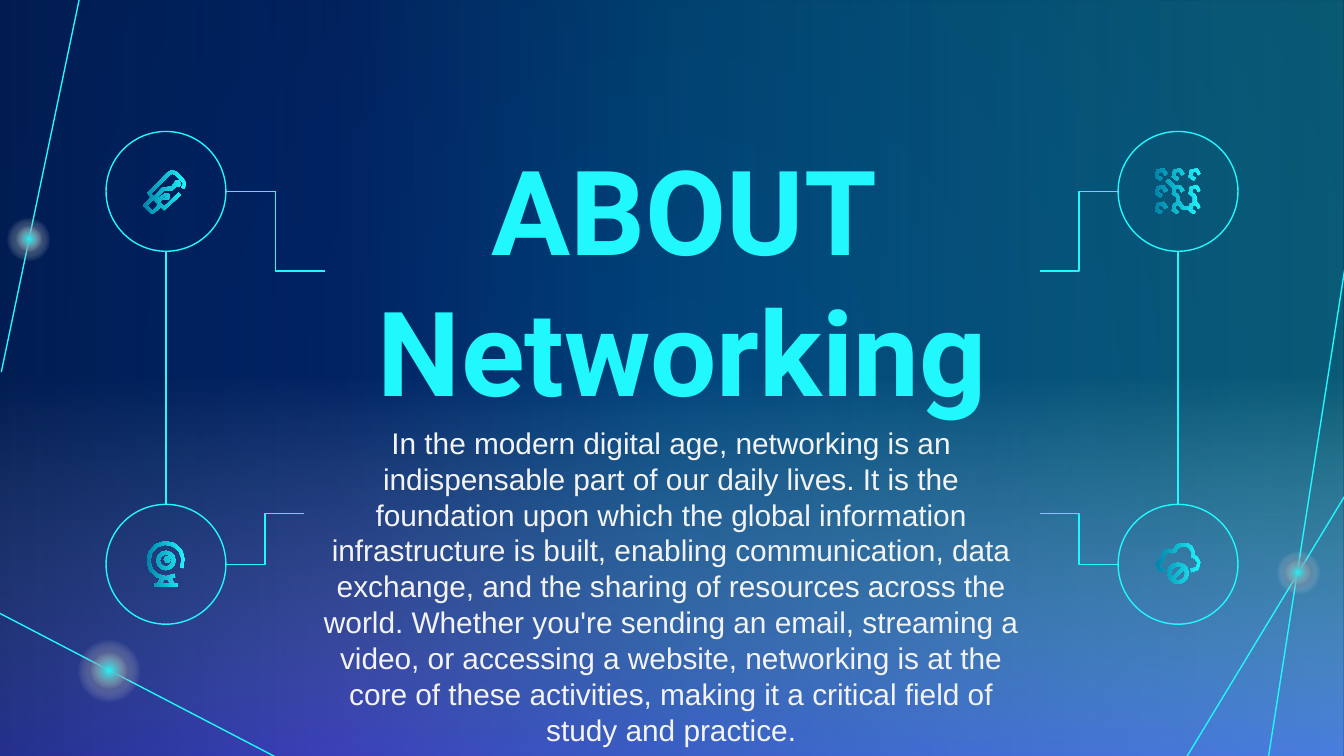
from math import cos, hypot, radians, sin

from lxml.etree import SubElement
from pptx import Presentation
from pptx.dml.color import RGBColor
from pptx.enum.shapes import MSO_CONNECTOR, MSO_SHAPE
from pptx.enum.text import MSO_ANCHOR, MSO_AUTO_SIZE, PP_ALIGN
from pptx.oxml.ns import qn
from pptx.util import Pt

W, H = 720, 405
CYAN, TEAL, NAVY, PALE = "20F8FD", "0182AA", "00183A", "F3F3F3"
BODY = (
    "In the modern digital age, networking is an indispensable part of our daily lives. "
    "It is the foundation upon which the global information infrastructure is built, "
    "enabling communication, data exchange, and the sharing of resources across the world. "
    "Whether you're sending an email, streaming a video, or accessing a website, networking "
    "is at the core of these activities, making it a critical field of study and practice."
)


def rgb(value):
    return RGBColor.from_string(value)


def set_gradient(props, stops, angle=None):
    """Swap noFill for a gradient of (position, colour, opacity); radial without angle."""
    none = props.find(qn("a:noFill"))
    grad = props.makeelement(qn("a:gradFill"), {"rotWithShape": "1"})
    none.getparent().replace(none, grad)
    stop_list = SubElement(grad, qn("a:gsLst"))
    for position, colour, opacity in stops:
        stop = SubElement(stop_list, qn("a:gs"), pos=str(position * 1000))
        clr = SubElement(stop, qn("a:srgbClr"), val=colour)
        if opacity < 100:
            SubElement(clr, qn("a:alpha"), val=str(opacity * 1000))
    if angle is None:
        path = SubElement(grad, qn("a:path"), path="circle")
        SubElement(path, qn("a:fillToRect"), l="50000", t="50000", r="50000", b="50000")
    else:
        SubElement(grad, qn("a:lin"), ang=str(angle * 60000), scaled="0")


def add_plain(s, kind, x, y, w, h):
    sp = s.shapes.add_shape(kind, Pt(x), Pt(y), Pt(w), Pt(h))
    sp.shadow.inherit = False
    sp.fill.background()
    sp.line.fill.background()
    return sp


def add_line(s, x1, y1, x2, y2, kind=MSO_CONNECTOR.STRAIGHT):
    line = s.shapes.add_connector(kind, Pt(x1), Pt(y1), Pt(x2), Pt(y2))
    line.line.color.rgb = rgb(CYAN)
    line.line.width = Pt(0.75)
    SubElement(line.element.spPr, qn("a:effectLst"))


def add_glow(s, cx, cy, size):
    for diameter, core in ((size, NAVY), (size * 0.59, CYAN)):
        sp = add_plain(s, MSO_SHAPE.OVAL, cx - diameter / 2, cy - diameter / 2, diameter, diameter)
        set_gradient(sp.element.spPr, [(0, core, 100), (50, PALE, 0), (100, PALE, 0)])


def add_backdrop(s, x, y, w, h):
    s.background.fill.background()
    set_gradient(s.element.xpath(".//p:bgPr")[0], [(0, "012060", 100), (100, NAVY, 100)])
    veils = (
        ([(0, "748BFF", 0), (50, PALE, 0), (100, "7659FF", 77)], 90),
        ([(0, CYAN, 29), (50, TEAL, 36), (75, "022E88", 35), (100, "012060", 60)], 180),
    )
    for stops, angle in veils:
        sp = add_plain(s, MSO_SHAPE.RECTANGLE, x, y, w, h)
        set_gradient(sp.element.spPr, stops, angle)
    for x1, y1, x2, y2 in ((150.5, 407, -0.7, 328.3), (635.8, 405.4, 722.2, 262.8),
                           (679, 409, 722.9, 128.2), (43.9, -7.2, 0.7, 199.4)):
        add_line(s, x + x1, y + y1, x + x2, y + y2)
    for cx, cy, size in ((695.5, 306.7, 33.1), (58.3, 359.3, 47.5), (15.5, 128.2, 33.1)):
        add_glow(s, x + cx, y + cy, size)


def arc(cx, cy, r, start=0, end=360):
    """Points along an arc, in degrees clockwise from the right."""
    steps = max(2, round((end - start) / (30 if r > 4 else 60)))
    angles = [radians(start + (end - start) * i / steps) for i in range(steps + 1)]
    return [(cx + r * cos(a), cy + r * sin(a)) for a in angles]


def ribbon(points, width=1.9):
    """Outline of a stroke of the given width along the points."""
    sides = [], []
    for i, (x, y) in enumerate(points):
        (x1, y1), (x2, y2) = points[max(i - 1, 0)], points[min(i + 1, len(points) - 1)]
        length = hypot(x2 - x1, y2 - y1) or 1
        nx, ny = (y1 - y2) / length * width / 2, (x2 - x1) / length * width / 2
        sides[0].append((x + nx, y + ny))
        sides[1].append((x - nx, y - ny))
    return sides[0] + sides[1][::-1]


def usb_strokes():
    return [
        [(9, -1.6), (10.2, -4), (9, -6), (5.5, -9.5), (3.4, -10.4), (1.4, -9.4),
         (-9, 1.2), (-1, 9.2), (7.4, 1.4)],
        [(-7.5, 3.8), (-11.2, 7.6), (-7.2, 11.4), (-3.4, 7.8)],
        [(-4.2, 5), (-0.8, 2.6)],
        [(-5.4, 3), (-1.2, -1.4), (3, -1.4), (4.8, -3.2)],
        arc(0.3, 2.7, 1), arc(6.2, -4, 1),
    ]


def grid_strokes():
    nodes = [arc(cx, cy, 2.6, 90, 360) for cy in (-9, 0, 9) for cx in (-9, 0, 9)]
    links = [[(-5.8, -5.8), (-1.8, -1.8)], [(0, 2.6), (0, 6.4)],
             [(9, 2.6), (9, 6.4)], [(2.6, 9), (6.4, 9)]]
    return nodes + links


def webcam_strokes():
    return [
        arc(0, -2, 9.4, 60, 385), arc(0, -2, 4.2), arc(0.8, -2.6, 0.9),
        [(-6, 11.2), (6.4, 11.2)], [(-1.8, 7.9), (-3.6, 10.3)], [(1.8, 7.9), (3.6, 10.3)],
    ]


def cloud_strokes():
    cloud = (arc(-8.2, 0.7, 2.7, 70, 260) + arc(-5, -4.3, 3.2, 175, 305)
             + arc(3, -5.5, 5.2, 200, 375) + arc(7.6, -0.4, 3.8, -60, 100))
    return [cloud, arc(0, 4.9, 4.8), [(-3, 7.9), (3, 1.9)]]


def add_icon(s, cx, cy, strokes):
    outlines = [[(Pt(cx + x), Pt(cy + y)) for x, y in ribbon(points)] for points in strokes]
    fb = s.shapes.build_freeform(*outlines[0][0])
    fb.add_line_segments(outlines[0][1:], close=True)
    for outline in outlines[1:]:
        fb.move_to(*outline[0])
        fb.add_line_segments(outline[1:], close=True)
    sp = fb.convert_to_shape()
    sp.shadow.inherit = False
    sp.line.fill.background()
    sp.fill.background()
    set_gradient(sp.element.spPr, [(0, CYAN, 100), (100, TEAL, 100)], 180)


def add_node(s, x, y, d, strokes, end_x, end_y):
    """Ringed icon with an elbow line from its inner side to the end point."""
    ring = add_plain(s, MSO_SHAPE.OVAL, x, y, d, d)
    ring.line.color.rgb = rgb(CYAN)
    ring.line.width = Pt(0.75)
    start_x = x + d if end_x > x else x
    add_line(s, start_x, y + d / 2, end_x, end_y, MSO_CONNECTOR.ELBOW)
    add_icon(s, x + d / 2, y + d / 2, strokes)


def add_nodes(s, x, y, w, h, d=64.2):
    right, bottom = x + w - d, y + h - d
    add_node(s, x, y, d, usb_strokes(), x + 117.4, y + 74.8)
    add_node(s, right, y, d, grid_strokes(), right - 41.8, y + 74.8)
    add_node(s, x, bottom, d, webcam_strokes(), x + 106, bottom + 4.9)
    add_node(s, right, bottom, d, cloud_strokes(), right - 41.8, bottom + 4.9)
    for left in (x, right):
        add_line(s, left + d / 2, y + d, left + d / 2, bottom)


def place_text(sp, x, y, w, h, text, font, size, colour, bold, anchor):
    sp.left, sp.top, sp.width, sp.height = Pt(x), Pt(y), Pt(w), Pt(h)
    sp.element.getparent().append(sp.element)
    tf = sp.text_frame
    tf.text = text
    tf.word_wrap = True
    tf.auto_size = MSO_AUTO_SIZE.NONE
    tf.vertical_anchor = anchor
    tf.margin_left = tf.margin_right = tf.margin_top = tf.margin_bottom = Pt(7.2)
    p = tf.paragraphs[0]
    p.alignment = PP_ALIGN.CENTER
    p.space_before = Pt(0)
    r = p.runs[0]
    r.font.name, r.font.size, r.font.bold = font, Pt(size), bold
    r.font.color.rgb = rgb(colour)


def main():
    prs = Presentation()
    prs.slide_width, prs.slide_height = Pt(W), Pt(H)
    s = prs.slides.add_slide(prs.slide_layouts[0])
    add_backdrop(s, 0, 0, W, H)
    place_text(s.shapes.title, 174.2, 58.3, 383, 174.2, "ABOUT Networking",
               "Roboto", 63, CYAN, True, MSO_ANCHOR.BOTTOM)
    place_text(s.placeholders[1], 162.7, 220.3, 393.8, 109.4, BODY,
               "Arial", 16, PALE, False, MSO_ANCHOR.TOP)
    add_nodes(s, 56.8, 70.4, 606.4, 264)
    prs.save("out.pptx")


if __name__ == "__main__":
    main()
